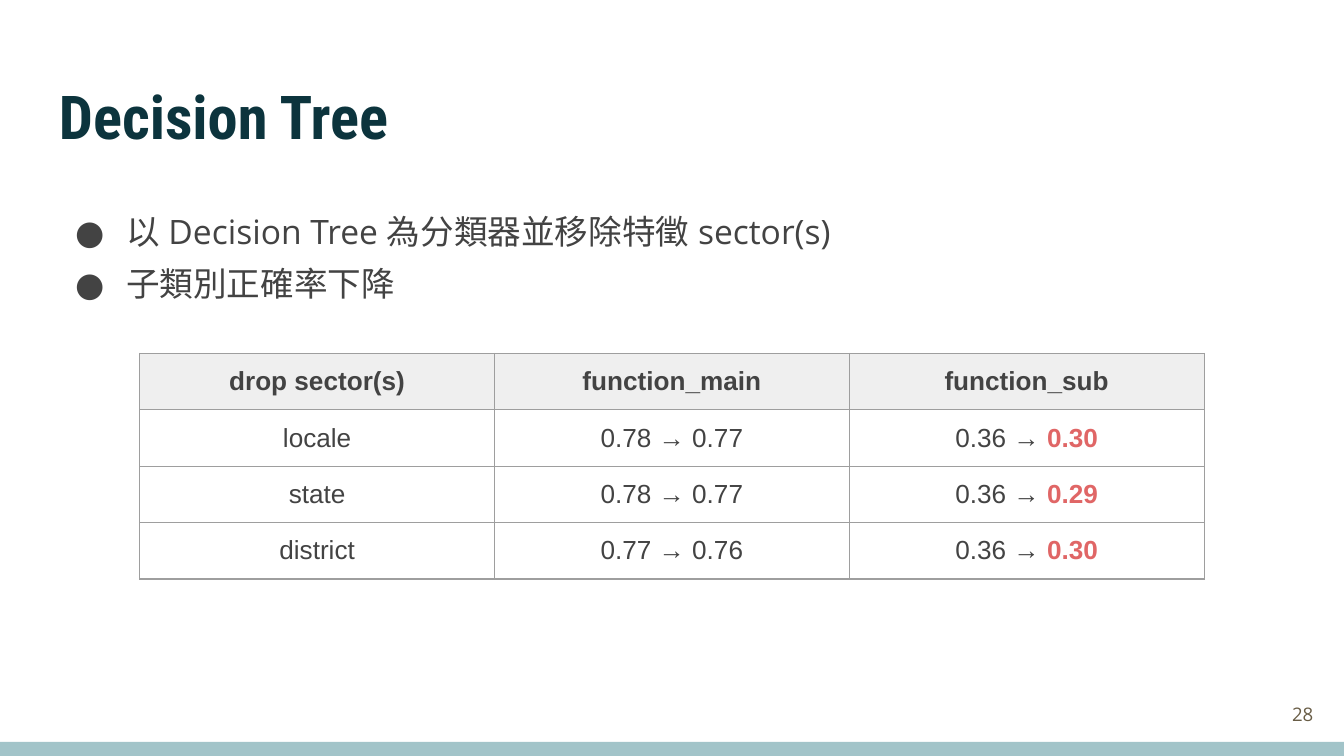
from dataclasses import dataclass

import pptx
import pptx.dml.color
import pptx.enum.shapes
import pptx.enum.text
import pptx.oxml.ns
import pptx.util
from lxml import etree

Inches = pptx.util.Inches
Align = pptx.enum.text.PP_ALIGN
Anchor = pptx.enum.text.MSO_ANCHOR
qn = pptx.oxml.ns.qn


@dataclass(frozen=True)
class Theme:
    title_font: str = "Roboto Condensed"
    body_font: str = "Open Sans"
    table_font: str = "Arial"
    title_color: str = "0C343D"
    body_color: str = "434343"
    number_color: str = "695D46"
    drop_color: str = "E06666"
    header_fill: str = "EFEFEF"
    border_color: str = "9E9E9E"
    band_color: str = "A2C4C9"
    title_size: float = 32.4
    body_size: float = 18
    table_size: float = 14
    number_size: float = 10
    border_width: float = 0.75


@dataclass(frozen=True)
class Style:
    font: str
    size: float
    color: str
    bold: bool = False


@dataclass(frozen=True)
class Result:
    sector: str
    main: str
    sub_before: str
    sub_after: str


THEME = Theme()
TITLE = Style(THEME.title_font, THEME.title_size, THEME.title_color, True)
BODY = Style(THEME.body_font, THEME.body_size, THEME.body_color)
NUMBER = Style(THEME.body_font, THEME.number_size, THEME.number_color)
HEADER = Style(THEME.table_font, THEME.table_size, THEME.body_color, True)
VALUE = Style(THEME.table_font, THEME.table_size, THEME.body_color)
DROP = Style(THEME.table_font, THEME.table_size, THEME.drop_color, True)

BULLETS = ["以 Decision Tree 為分類器並移除特徵 sector(s)", "子類別正確率下降"]
HEADINGS = ["drop sector(s)", "function_main", "function_sub"]
RESULTS = [
    Result("locale", "0.78 → 0.77", "0.36 → ", "0.30"),
    Result("state", "0.78 → 0.77", "0.36 → ", "0.29"),
    Result("district", "0.77 → 0.76", "0.36 → ", "0.30"),
]


def rgb(color: str) -> pptx.dml.color.RGBColor:
    return pptx.dml.color.RGBColor.from_string(color)


def add_span(para, text: str, style: Style) -> None:
    span = para.add_run()
    span.text = text
    span.font.name = style.font
    span.font.size = pptx.util.Pt(style.size)
    span.font.bold = style.bold
    span.font.color.rgb = rgb(style.color)
    east_asian = etree.Element(qn("a:ea"), typeface=style.font)
    span.font._element.find(qn("a:latin")).addnext(east_asian)


def add_box(slide, left: float, top: float, width: float, height: float,
            lines: list[str], style: Style, anchor=Anchor.TOP, align=Align.LEFT):
    box = slide.shapes.add_textbox(Inches(left), Inches(top), Inches(width), Inches(height))
    frame = box.text_frame
    frame.word_wrap = True
    frame.vertical_anchor = anchor
    frame.margin_left = frame.margin_right = Inches(0.1)
    frame.margin_top = frame.margin_bottom = Inches(0.1)
    for index, line in enumerate(lines):
        para = frame.add_paragraph() if index else frame.paragraphs[0]
        para.alignment = align
        add_span(para, line, style)
    return box


def set_bullet(para) -> None:
    para.line_spacing = 1.3
    properties = para._p.get_or_add_pPr()
    properties.set("marL", str(Inches(0.5)))
    properties.set("indent", str(Inches(-0.38)))
    color = etree.SubElement(properties, qn("a:buClr"))
    etree.SubElement(color, qn("a:srgbClr"), val=THEME.body_color)
    etree.SubElement(properties, qn("a:buSzPct"), val="100000")
    etree.SubElement(properties, qn("a:buFont"), typeface=THEME.body_font)
    etree.SubElement(properties, qn("a:buChar"), char="●")


def set_borders(cell) -> None:
    properties = cell._tc.get_or_add_tcPr()
    width = str(pptx.util.Pt(THEME.border_width))
    for index, side in enumerate(("lnL", "lnR", "lnT", "lnB")):
        line = etree.Element(qn(f"a:{side}"), w=width)
        fill = etree.SubElement(line, qn("a:solidFill"))
        etree.SubElement(fill, qn("a:srgbClr"), val=THEME.border_color)
        properties.insert(index, line)


def fill_cell(cell, spans: list[tuple[str, Style]], fill: str | None = None) -> None:
    cell.margin_left = cell.margin_right = cell.margin_top = Inches(0.1)
    cell.margin_bottom = Inches(0.08)
    if fill:
        cell.fill.solid()
        cell.fill.fore_color.rgb = rgb(fill)
    else:
        cell.fill.background()
    set_borders(cell)
    para = cell.text_frame.paragraphs[0]
    para.alignment = Align.CENTER
    for text, style in spans:
        add_span(para, text, style)


def add_results(slide) -> None:
    rows, columns = len(RESULTS) + 1, len(HEADINGS)
    table = slide.shapes.add_table(
        rows, columns, Inches(1.04), Inches(2.63),
        Inches(2.64 * columns), Inches(0.42 * rows)).table
    for column, heading in enumerate(HEADINGS):
        fill_cell(table.cell(0, column), [(heading, HEADER)], THEME.header_fill)
    for row, result in enumerate(RESULTS, start=1):
        fill_cell(table.cell(row, 0), [(result.sector, VALUE)])
        fill_cell(table.cell(row, 1), [(result.main, VALUE)])
        fill_cell(table.cell(row, 2), [(result.sub_before, VALUE), (result.sub_after, DROP)])


def add_band(slide) -> None:
    band = slide.shapes.add_shape(
        pptx.enum.shapes.MSO_SHAPE.RECTANGLE, Inches(0), Inches(5.52), Inches(10), Inches(0.11))
    band.shadow.inherit = False
    band.fill.solid()
    band.fill.fore_color.rgb = rgb(THEME.band_color)
    band.line.fill.background()


def main() -> None:
    deck = pptx.Presentation()
    deck.slide_width, deck.slide_height = Inches(10), Inches(10 * 9 / 16)
    page = deck.slides.add_slide(deck.slide_layouts[6])
    add_band(page)
    body = add_box(page, 0.34, 1.38, 9.32, 3.61, BULLETS, BODY)
    for para in body.text_frame.paragraphs:
        set_bullet(para)
    add_box(page, 0.34, 0.49, 9.32, 0.77, ["Decision Tree"], TITLE)
    add_results(page)
    add_box(page, 9.27, 5.1, 0.6, 0.43, ["28"], NUMBER, Anchor.MIDDLE, Align.RIGHT)
    deck.save("out.pptx")


if __name__ == "__main__":
    main()
